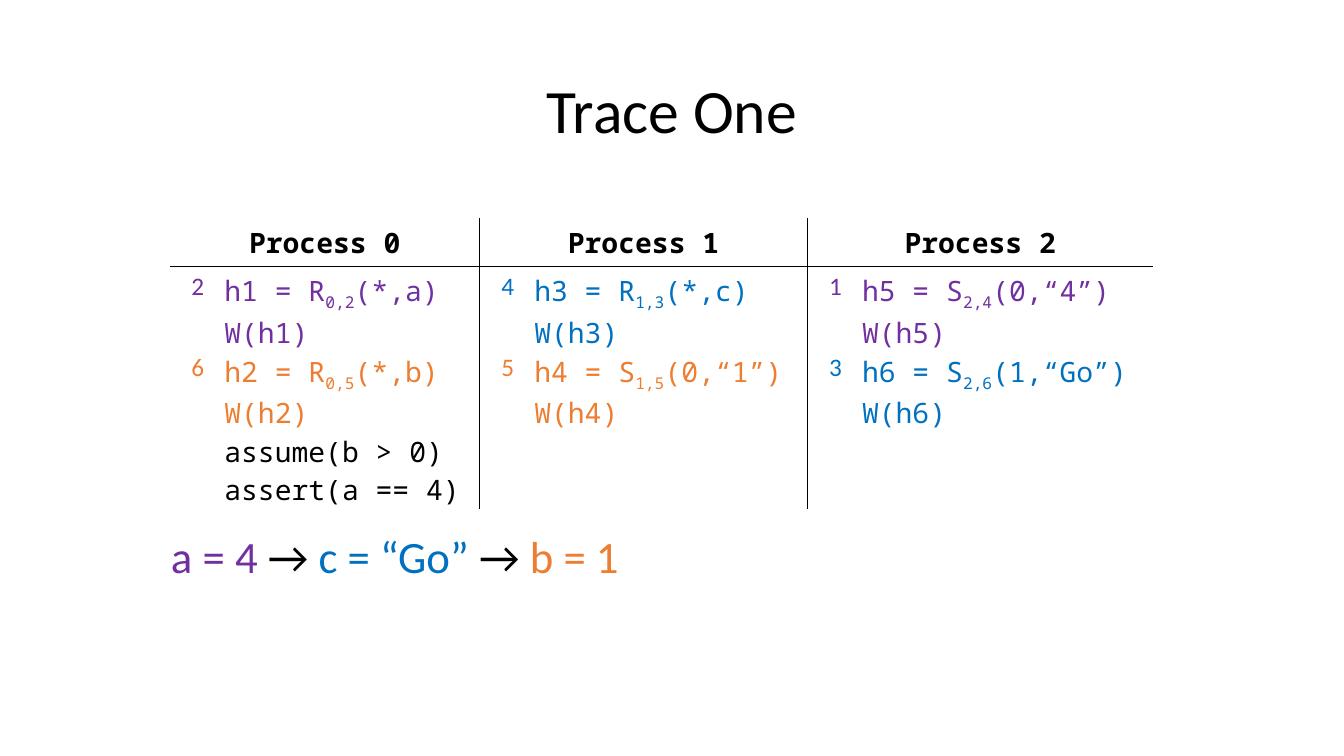
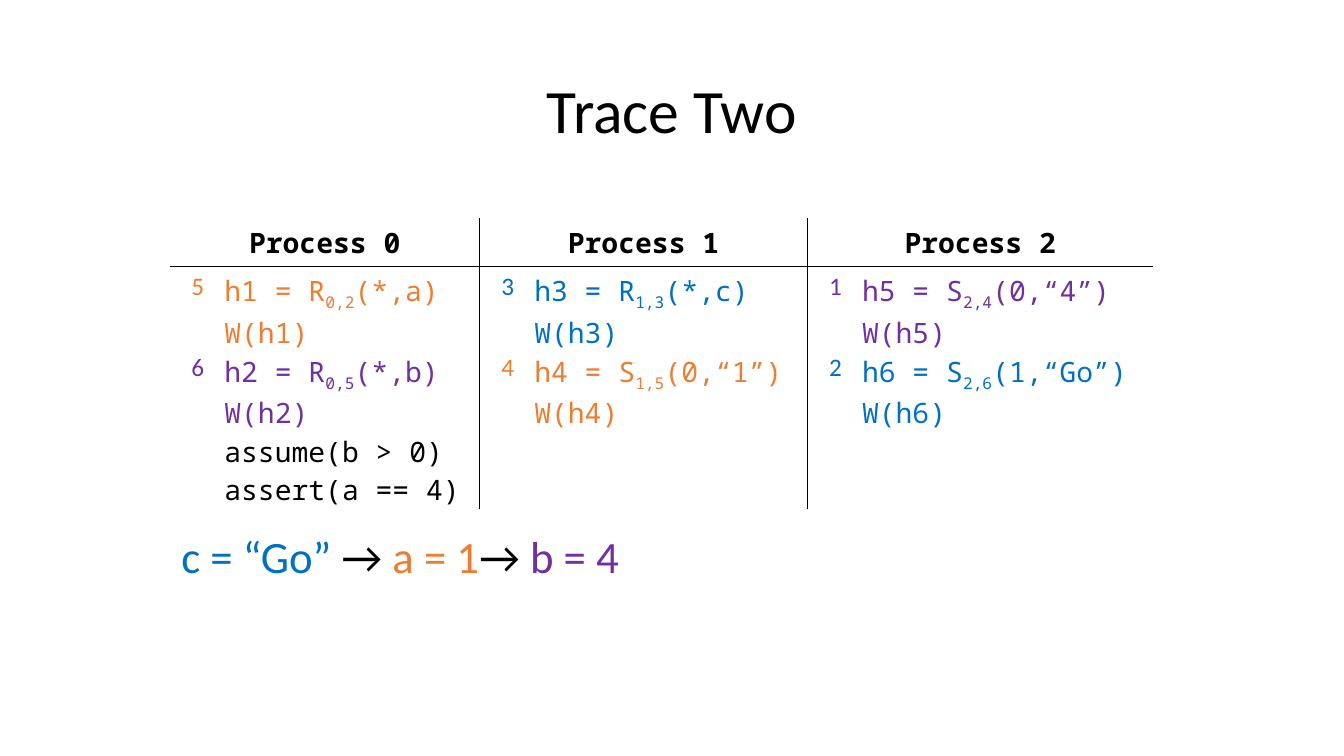
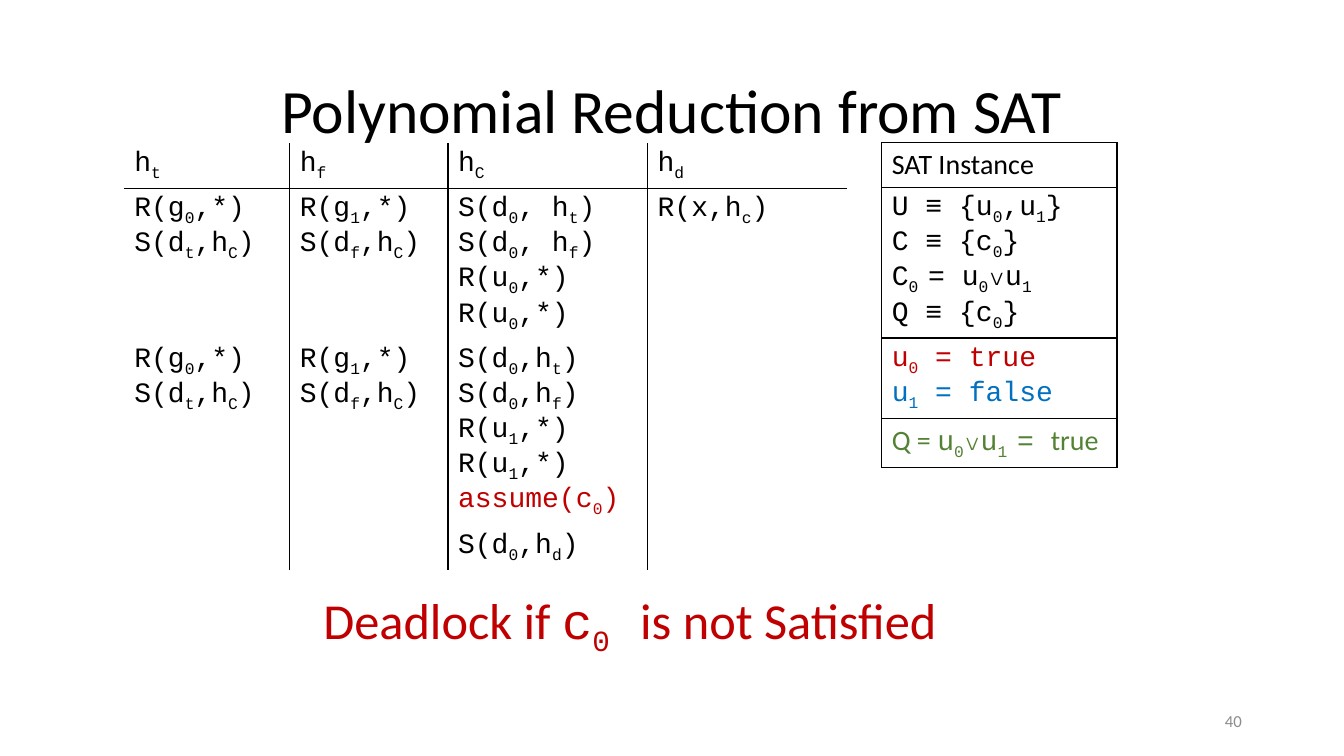
from lxml.etree import SubElement
from pptx import Presentation
from pptx.dml.color import RGBColor
from pptx.enum.text import MSO_ANCHOR, PP_ALIGN
from pptx.oxml.ns import qn
from pptx.util import Cm, Pt

HUES = {"black": "000000", "white": "FFFFFF", "purple": "7030A0",
        "blue": "0070C0", "orange": "ED7D31", "red": "C00000",
        "green": "548235", "grey": "8C8C8C"}
SANS, CODE, MONO = "Calibri", "Courier New", "Noto Sans Mono"
PLAIN = "{2D5ABB26-0587-4C30-8999-92F81FD0307C}"  # table style with no grid

# A run is (text, hue, font); text between two ~ is set as a subscript.
# Each process lists its calls as (handle, call).
PROCS = [
    [("h1", "R~0,2~(*,a)"), ("h2", "R~0,5~(*,b)")],
    [("h3", "R~1,3~(*,c)"), ("h4", "S~1,5~(0,“1”)")],
    [("h5", "S~2,4~(0,“4”)"), ("h6", "S~2,6~(1,“Go”)")],
]
CHECKS = ["assume(b > 0)", "assert(a == 4)"]
TRACES = [
    {"title": "Trace One", "left": 4.06,
     "steps": {"h1": ("2", "purple"), "h2": ("6", "orange"),
               "h3": ("4", "blue"), "h4": ("5", "orange"),
               "h5": ("1", "purple"), "h6": ("3", "blue")},
     "result": [("a = 4", "purple"), (" → ", "black"), ("c = “Go” ", "blue"),
                ("→ ", "black"), ("b = 1", "orange")]},
    {"title": "Trace Two", "left": 4.32,
     "steps": {"h1": ("5", "orange"), "h2": ("6", "purple"),
               "h3": ("3", "blue"), "h4": ("4", "orange"),
               "h5": ("1", "purple"), "h6": ("2", "blue")},
     "result": [("c = “Go”", "blue"), (" → ", "black"), ("a = 1", "orange"),
                ("→ ", "black"), ("b = 4", "purple")]},
]
TRUE_ROW = ["R(g~0~,*)", "S(d~t~,h~C~)"]
FALSE_ROW = ["R(g~1~,*)", "S(d~f~,h~C~)"]
SAT_ROWS = [
    [["h~t~"], ["h~f~"], ["h~C~"], ["h~d~"]],
    [TRUE_ROW, FALSE_ROW,
     ["S(d~0~, h~t~)", "S(d~0~, h~f~)", "R(u~0~,*)", "R(u~0~,*)"],
     ["R(x,h~c~)"]],
    [TRUE_ROW, FALSE_ROW,
     ["S(d~0~,h~t~)", "S(d~0~,h~f~)", "R(u~1~,*)", "R(u~1~,*)",
      ("assume(c~0~)", "red")], []],
    [[], [], ["S(d~0~,h~d~)"], []],
]
SAT_CASE = [
    [[[("SAT Instance", "black", SANS)]]],
    [["U ≡ {u~0~,u~1~}", "C ≡ {c~0~}", "C~0 ~= u~0~∨u~1~", "Q ≡ {c~0~}"]],
    [[("u~0~ = true", "red"), ("u~1~ = false", "blue")]],
    [[[("Q = ", "green", SANS), ("u~0~∨u~1 ~= ", "green", CODE),
       ("true", "green", SANS)]]],
]
VERDICT = [("Deadlock if ", "red"), ("c~0~ ", "red", CODE),
           ("is not Satisfied", "red")]


def put(obj, **vals):
    for name, val in vals.items():
        setattr(obj, name, val)


def color(hue):
    return RGBColor.from_string(HUES[hue])


def write(frame, lines, size, font=SANS, align=None, bold=False, gap=None):
    """Write lines; a line is a string, one run tuple or a list of runs."""
    for i, line in enumerate(lines):
        para = frame.add_paragraph() if i else frame.paragraphs[0]
        put(para, alignment=align, line_spacing=gap)
        for item in line if isinstance(line, list) else [line]:
            item = (item,) if isinstance(item, str) else item
            text, hue, face = item + ("black", font)[len(item) - 1:]
            for j, part in enumerate(text.split("~")):
                if part:
                    run = para.add_run()
                    run.text = part
                    put(run.font, name=face, size=Pt(size), bold=bold)
                    run.font.color.rgb = color(hue)
                    if j % 2:
                        run._r.get_or_add_rPr().set("baseline", "-25000")


def add_text(slide, at, line, size, **look):
    frame = slide.shapes.add_textbox(*map(Cm, at)).text_frame
    put(frame, word_wrap=False, vertical_anchor=MSO_ANCHOR.TOP)
    write(frame, [line], size, **look)
    return frame


def add_page(deck, title):
    slide = deck.slides.add_slide(deck.slide_layouts[5])
    head = slide.shapes.title
    put(head, left=Cm(2.33), top=Cm(1.01), width=Cm(29.21), height=Cm(3.68))
    head.text_frame.vertical_anchor = MSO_ANCHOR.MIDDLE
    write(head.text_frame, [title], 44, align=PP_ALIGN.CENTER, gap=0.9)
    return slide


def add_grid(slide, left, top, cols, rows):
    frame = slide.shapes.add_table(len(rows), len(cols), Cm(left), Cm(top),
                                   Cm(sum(cols)), Cm(sum(rows)))
    grid = frame.table
    put(grid, first_row=False, horz_banding=False)
    for style in frame.element.iter(qn("a:tableStyleId")):
        style.text = PLAIN
    for col, width in zip(grid.columns, cols):
        col.width = Cm(width)
    for row, height in zip(grid.rows, rows):
        row.height = Cm(height)
    return grid


def rule(grid, cuts, bars):
    """Draw lines after the columns in cuts and the rows in bars."""
    for r in range(len(grid.rows)):
        for c in range(len(grid.columns)):
            cell = grid.cell(r, c)
            end = c + cell.span_width - 1
            props = cell._tc.get_or_add_tcPr()
            sides = {"L": c - 1 in cuts, "R": end in cuts,
                     "T": r - 1 in bars, "B": r in bars}
            for side, shown in sides.items():
                line = SubElement(props, qn("a:ln" + side), w="12700")
                if shown:
                    paint = SubElement(line, qn("a:solidFill"))
                    SubElement(paint, qn("a:srgbClr"), val=HUES["black"])
                else:
                    SubElement(line, qn("a:noFill"))
            cell.fill.solid()
            cell.fill.fore_color.rgb = color("white")


def add_trace(deck, trace):
    slide = add_page(deck, trace["title"])
    grid = add_grid(slide, 4.28, 5.5, [1.12, 6.69, 1.12, 7.14, 1.12, 7.59],
                    [0.74, 1.22, 1.09, 1.78])
    for p, calls in enumerate(PROCS):
        head = grid.cell(0, 2 * p)
        head.merge(grid.cell(0, 2 * p + 1))
        write(head.text_frame, [f"Process {p}"], 20, MONO,
              PP_ALIGN.CENTER, True)
        for r, (name, call) in enumerate(calls, 1):
            step, hue = trace["steps"][name]
            num, body = grid.cell(r, 2 * p), grid.cell(r, 2 * p + 1)
            for cell in (num, body):
                put(cell, margin_top=Cm(0.13 if r == 1 else 0),
                    margin_bottom=0)
            write(num.text_frame, [(step, hue)], 18, align=PP_ALIGN.RIGHT)
            write(body.text_frame,
                  [(f"{name} = {call}", hue), (f"W({name})", hue)], 20, MONO)
    last = grid.cell(3, 1)
    put(last, margin_top=0, margin_bottom=0)
    write(last.text_frame, CHECKS, 20, MONO)
    rule(grid, {1, 3}, {0})
    add_text(slide, (trace["left"], 13.21, 12.34, 1.63), trace["result"], 32)


def add_proof(deck):
    slide = add_page(deck, "Polynomial Reduction from SAT")
    tables = [
        (SAT_ROWS, 3.13, [4.17, 3.99, 5.03, 5.03], [0.99, 3.28, 3.28, 1.14],
         {0, 1, 2}, {0}),
        (SAT_CASE, 22.22, [5.93], [0.91, 2.77, 1.35, 0.89],
         {-1, 0}, {-1, 0, 1, 2, 3}),
    ]
    for data, left, cols, rows, cuts, bars in tables:
        grid = add_grid(slide, left, 3.6, cols, rows)
        for r, row in enumerate(data):
            for c, lines in enumerate(row):
                write(grid.cell(r, c).text_frame, lines, 20, CODE)
        rule(grid, cuts, bars)
    add_text(slide, (7.9, 14.71, 16.41, 1.8), VERDICT, 36)
    page = add_text(slide, (23.93, 17.65, 7.62, 1.02), ("40", "grey"), 12,
                    align=PP_ALIGN.RIGHT)
    put(page, word_wrap=True, vertical_anchor=MSO_ANCHOR.MIDDLE)


def main():
    deck = Presentation()
    put(deck, slide_width=Cm(33.87), slide_height=Cm(19.05))
    for trace in TRACES:
        add_trace(deck, trace)
    add_proof(deck)
    deck.save("out.pptx")


if __name__ == "__main__":
    main()
